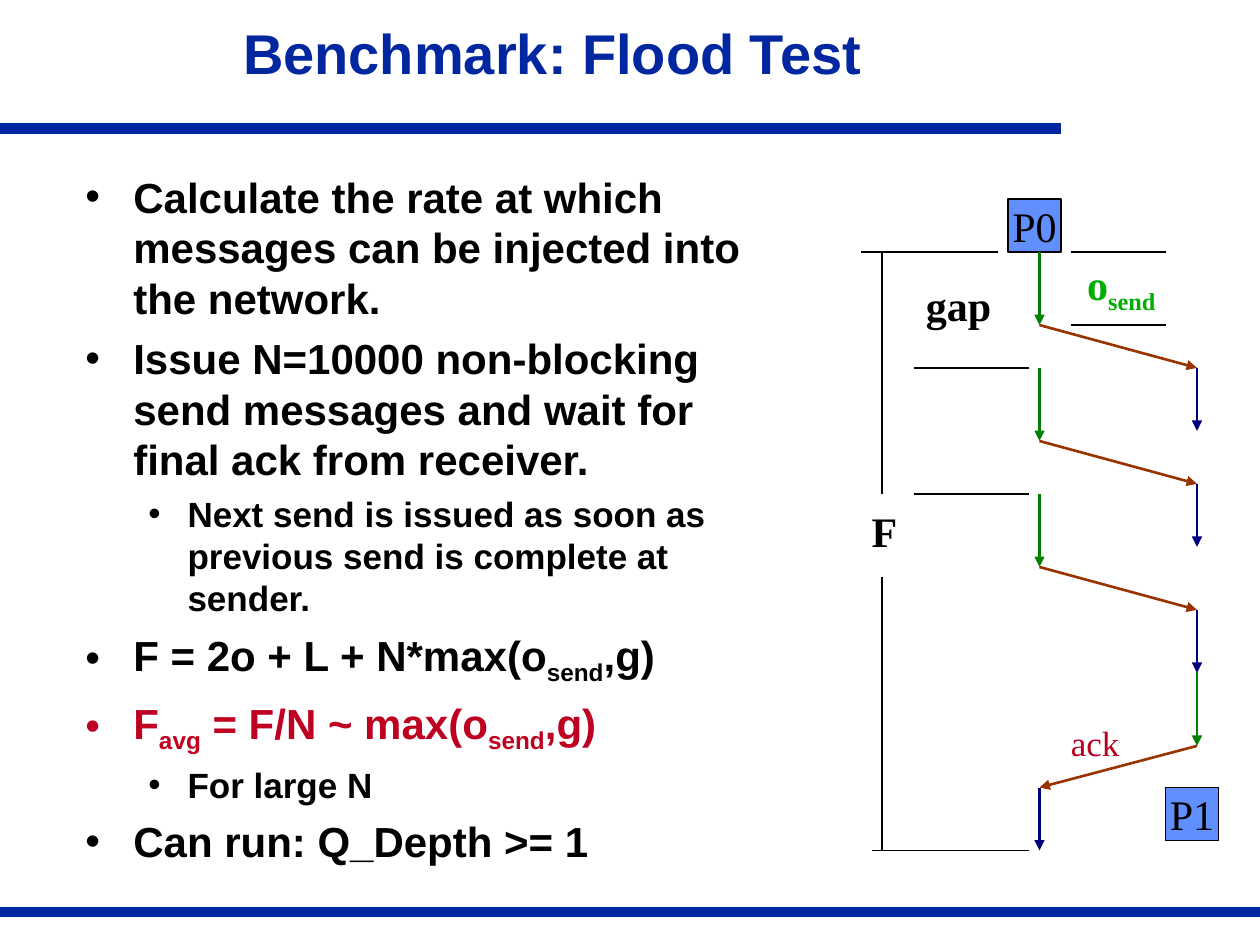
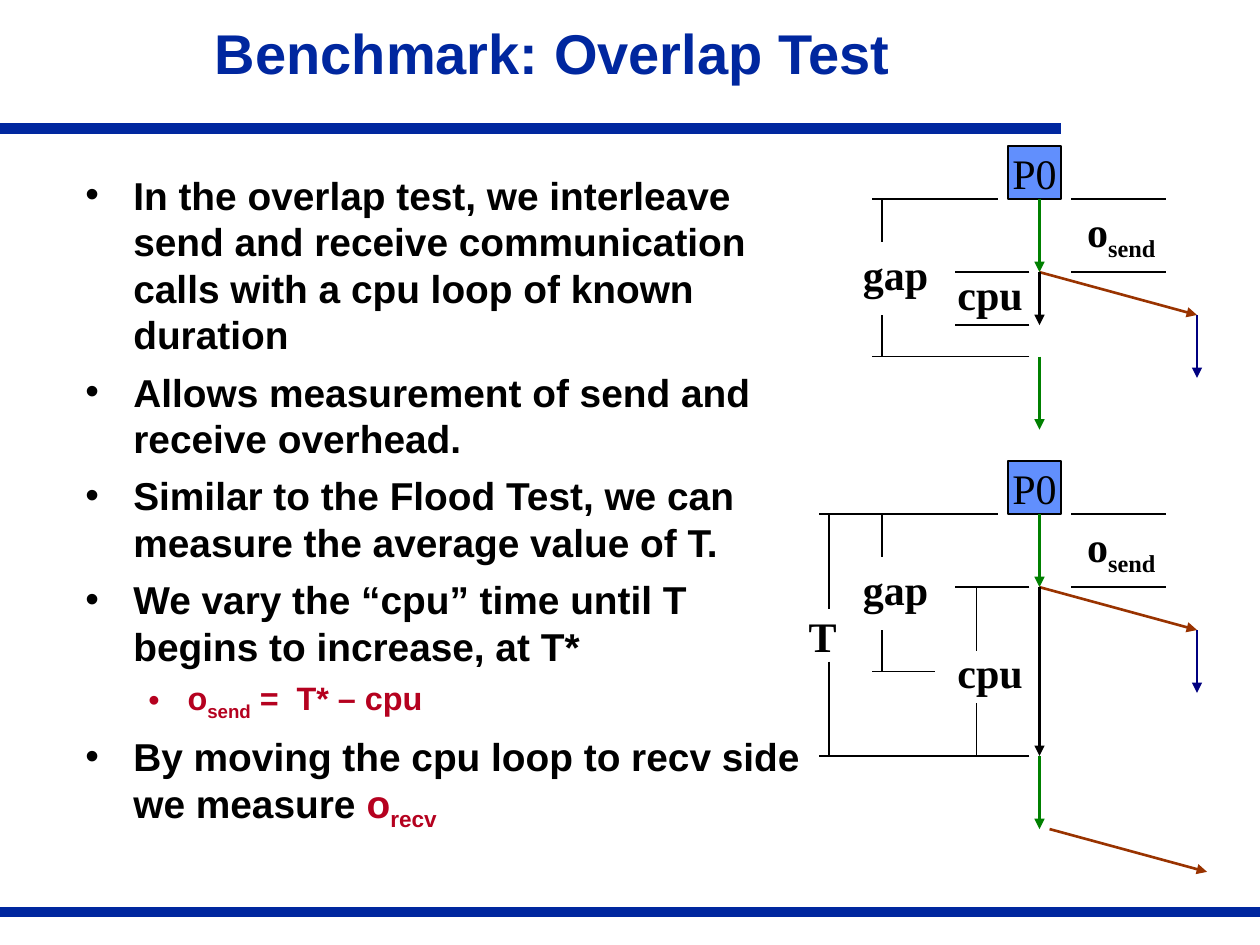
from lxml import etree
from pptx import Presentation
from pptx.dml.color import RGBColor
from pptx.enum.shapes import MSO_CONNECTOR, MSO_SHAPE
from pptx.enum.text import MSO_ANCHOR, MSO_AUTO_SIZE, PP_ALIGN
from pptx.oxml.ns import qn
from pptx.util import Inches, Pt

STRAIGHT = MSO_CONNECTOR.STRAIGHT
RECTANGLE = MSO_SHAPE.RECTANGLE
MIDDLE = MSO_ANCHOR.MIDDLE
FIT_SHAPE = MSO_AUTO_SIZE.SHAPE_TO_FIT_TEXT
CENTER = PP_ALIGN.CENTER
TITLE_ONLY = 5

SANS, SERIF = "Arial", "Times New Roman"
BLUE, BLACK, RED, CRIMSON = "00279F", "000000", "B5011F", "BF0121"
BOX_BLUE, LABEL_GREEN = "618FFD", "00AE00"
SEND_GREEN, WIRE_BROWN, RECEIVE_NAVY = "008000", "993300", "000080"

# Left margin, bullet hang and space before, by level
LEVELS = [(0.38, 0.38, 6), (0.81, 0.31, 5)]
SEND_TIME, ARRIVAL, RECEIVED = 0.58, 0.92, 1.42
TRAVEL = 1.25  # distance from the sender's axis to the receiver's
AXIS = 8.25

FLOOD_POINTS = [
    (0, BLACK, "Calculate the rate at which messages can be injected into the network."),
    (0, BLACK, "Issue N=10000 non-blocking send messages and wait for final ack from receiver."),
    (1, BLACK, "Next send is issued as soon as previous send is complete at sender."),
    (0, BLACK, "F = 2o + L + N*max(o[send],g)"),
    (0, CRIMSON, "F[avg] = F/N ~ max(o[send],g)"),
    (1, BLACK, "For large N"),
    (0, BLACK, "Can run: Q_Depth >= 1"),
]
OVERLAP_POINTS = [
    (0, BLACK, "In the overlap test, we interleave send and receive communication "
               "calls with a cpu loop of known duration"),
    (0, BLACK, "Allows measurement of send and receive overhead."),
    (0, BLACK, "Similar to the Flood Test, we can measure the average value of T."),
    (0, BLACK, "We vary the “cpu” time until T begins to increase, at T*"),
    (1, RED, "o[send] =  T* – cpu"),
    (0, BLACK, "By moving the cpu loop to recv side we measure ", "o[recv]"),
]


def rgb(value):
    return RGBColor.from_string(value)


def set_font(font, name, size, colour, bold=False):
    font.name, font.size, font.bold = name, Pt(size), bold
    font.color.rgb = rgb(colour)


def add_spans(para, text, colour=None):
    """Add text whose [bracketed] parts are subscripts."""
    for index, part in enumerate(text.replace("]", "[").split("[")):
        if not part:
            continue
        span = para.add_run()
        span.text = part
        if colour:
            span.font.color.rgb = rgb(colour)
        if index % 2:
            span._r.get_or_add_rPr().set("baseline", "-25000")


def add_line(page, start, end, colour, width, arrow=False):
    line = page.shapes.add_connector(STRAIGHT, *map(Inches, start + end))
    line.line.color.rgb = rgb(colour)
    line.line.width = Pt(width)
    if arrow:
        etree.SubElement(line.line._get_or_add_ln(), qn("a:tailEnd"), type="triangle")
    etree.SubElement(line._element.spPr, qn("a:effectLst"))


def add_rules(page, left, top, segments):
    for x1, y1, x2, y2 in segments:
        add_line(page, (left + x1, top + y1), (left + x2, top + y2), BLACK, 1)


def add_arrows(page, left, top, arrows):
    for colour, x1, y1, x2, y2 in arrows:
        add_line(page, (left + x1, top + y1), (left + x2, top + y2), colour, 1.5, True)


def add_label(page, left, top, width, text, colour=BLACK, size=24, bold=True, height=0.5):
    box = page.shapes.add_textbox(*map(Inches, (left, top, width, height)))
    box.text_frame.word_wrap = False
    box.text_frame.auto_size = FIT_SHAPE
    para = box.text_frame.paragraphs[0]
    add_spans(para, text)
    set_font(para.font, SERIF, size, colour, bold)


def add_process(page, left, top, name):
    box = page.shapes.add_shape(RECTANGLE, *map(Inches, (left, top, 0.42, 0.42)))
    box.shadow.inherit = False
    box.fill.solid()
    box.fill.fore_color.rgb = rgb(BOX_BLUE)
    box.line.color.rgb = rgb(BLACK)
    box.line.width = Pt(1)
    frame = box.text_frame
    frame.word_wrap = False
    frame.vertical_anchor = MIDDLE
    para = frame.paragraphs[0]
    para.text = name
    para.alignment = CENTER
    set_font(para.font, SERIF, 24, BLACK)


def add_message(page, left, top):
    """Draw one send, its flight and its receipt."""
    add_arrows(page, left, top, [
        (SEND_GREEN, 0, 0, 0, SEND_TIME),
        (WIRE_BROWN, 0, SEND_TIME, TRAVEL, ARRIVAL),
        (RECEIVE_NAVY, TRAVEL, ARRIVAL, TRAVEL, RECEIVED),
    ])


def add_sender(page, left, top, label_colour=BLACK):
    """Draw P0 with its first message and the send overhead marks."""
    add_process(page, left - 0.25, top - 0.42, "P0")
    add_message(page, left, top)
    add_rules(page, left, top, [(1, y, 0.25, y) for y in (0, SEND_TIME)])
    add_label(page, left + 0.28, top, 0.74, "o[send]", label_colour, height=0.56)


def add_flood_diagram(page, left, top):
    add_sender(page, left, top, LABEL_GREEN)
    for start in (0.92, 1.92):
        add_message(page, left, top + start)
        add_rules(page, left, top, [(-0.08, start, -1, start)])
    add_arrows(page, left, top, [
        (SEND_GREEN, TRAVEL, 3.33, TRAVEL, 3.92),
        (WIRE_BROWN, TRAVEL, 3.92, 0, 4.25),
        (RECEIVE_NAVY, 0, 4.25, 0, 4.75),
    ])
    add_process(page, left + 1, top + 4.25, "P1")
    add_rules(page, left, top, [
        (-0.33, 0, -1.42, 0),
        (-0.08, 4.75, -1.33, 4.75),
        (-1.25, 0, -1.25, 1.92),
        (-1.25, 2.58, -1.25, 4.75),
    ])
    add_label(page, left - 1, top + 0.17, 0.72, "gap")
    add_label(page, left - 1.43, top + 1.96, 0.4, "F")
    add_label(page, left + 0.15, top + 3.68, 0.6, "ack", RED, 20, False, 0.44)


def add_overlap_timeline(page, left, top, cpu_end, next_send, first_rule_end, gap_rule, cpu_label):
    """Draw a sender whose cpu loop runs until cpu_end, with gap and cpu marks."""
    add_sender(page, left, top)
    add_arrows(page, left, top, [
        (BLACK, 0, SEND_TIME, 0, cpu_end),
        (SEND_GREEN, 0, next_send, 0, next_send + SEND_TIME),
    ])
    add_rules(page, left, top, [
        (-0.33, 0, first_rule_end, 0),
        (gap_rule, 1.25, -1.33, 1.25),
        (-1.25, 0, -1.25, 0.34),
        (-1.25, 0.92, -1.25, 1.25),
        (-0.08, SEND_TIME, -0.67, SEND_TIME),
    ])
    add_label(page, left - 1.5, top + 0.34, 0.72, "gap")
    add_label(page, left - 0.75, top + cpu_label, 0.72, "cpu")


def add_short_cpu_diagram(page, left, top):
    add_overlap_timeline(page, left, top, cpu_end=1, next_send=1.25,
                         first_rule_end=-1.33, gap_rule=-0.08, cpu_label=0.5)
    add_rules(page, left, top, [(-0.08, 1, -0.67, 1)])


def add_long_cpu_diagram(page, left, top):
    end = 1.92
    add_overlap_timeline(page, left, top, cpu_end=end, next_send=end,
                         first_rule_end=-1.75, gap_rule=-0.83, cpu_label=1)
    add_rules(page, left, top, [
        (-0.08, end, -1.75, end),
        (-0.5, SEND_TIME, -0.5, 1.09),
        (-0.5, 1.5, -0.5, end),
        (-1.67, 0, -1.67, 0.75),
        (-1.67, 1.17, -1.67, end),
    ])
    add_arrows(page, left, top, [(WIRE_BROWN, 0.08, 2.5, 1.33, 2.84)])
    add_label(page, left - 1.93, top + 0.72, 0.42, "T")


def add_bullet(para, level, colour):
    margin, hang, _ = LEVELS[level]
    props = para._p.get_or_add_pPr()
    props.set("marL", str(Inches(margin)))
    props.set("indent", str(-Inches(hang)))
    tint = etree.SubElement(props, qn("a:buClr"))
    etree.SubElement(tint, qn("a:srgbClr"), val=colour)
    etree.SubElement(props, qn("a:buFont"), typeface=SANS)
    etree.SubElement(props, qn("a:buChar"), char="•")
    para.level = level


def add_points(page, left, top, width, height, points, sizes):
    box = page.shapes.add_textbox(*map(Inches, (left, top, width, height)))
    frame = box.text_frame
    frame.word_wrap = True
    for index, (level, colour, text, *red_tail) in enumerate(points):
        para = frame.add_paragraph() if index else frame.paragraphs[0]
        add_bullet(para, level, colour)
        if index:
            para.space_before = Pt(LEVELS[level][2])
        set_font(para.font, SANS, sizes[level], colour, True)
        add_spans(para, text)
        for tail in red_tail:
            add_spans(para, tail, RED)


def add_page(deck, heading):
    """Add a page with its title and the two blue bands."""
    page = deck.slides.add_slide(deck.slide_layouts[TITLE_ONLY])
    add_line(page, (-0.03, 1.02), (8.42, 1.02), BLUE, 6)
    add_line(page, (-0.05, 7.24), (10.04, 7.24), BLUE, 6)
    title = page.shapes.title
    title.left, title.top, title.width, title.height = map(Inches, (0.28, 0.05, 8.21, 0.81))
    title.text_frame.vertical_anchor = MIDDLE
    para = title.text_frame.paragraphs[0]
    para.text = heading
    para.alignment = CENTER
    para.line_spacing = 0.85
    set_font(para.font, SANS, 32, BLUE, True)
    return page


def main():
    deck = Presentation()
    deck.slide_width, deck.slide_height = Inches(10), Inches(7.5)

    flood = add_page(deck, "Benchmark: Flood Test")
    add_points(flood, 0.58, 1.31, 5.75, 5.61, FLOOD_POINTS, (24, 20))
    add_flood_diagram(flood, AXIS, 2)

    overlap = add_page(deck, "Benchmark: Overlap Test")
    add_points(overlap, 0.58, 1.31, 5.92, 5.61, OVERLAP_POINTS, (22.2, 18.5))
    add_short_cpu_diagram(overlap, AXIS, 1.58)
    add_long_cpu_diagram(overlap, AXIS, 4.08)

    deck.save("out.pptx")


if __name__ == "__main__":
    main()
